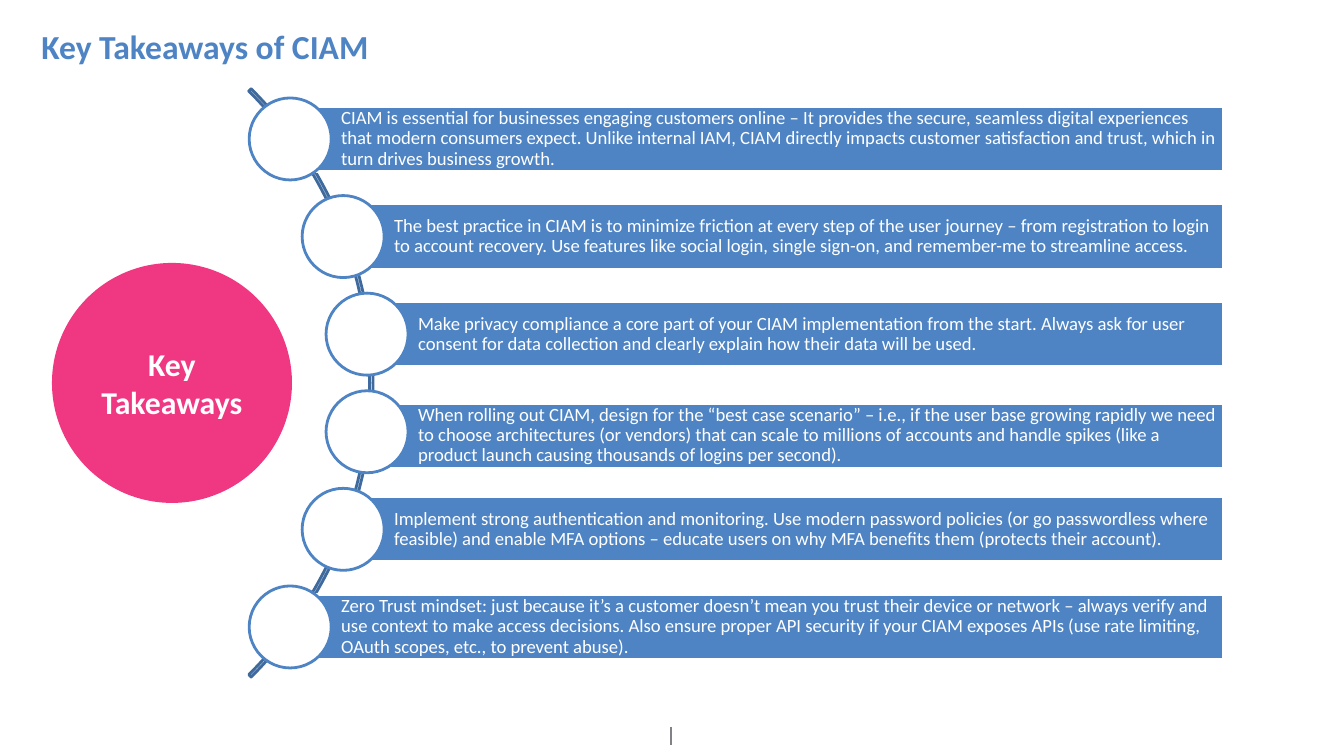
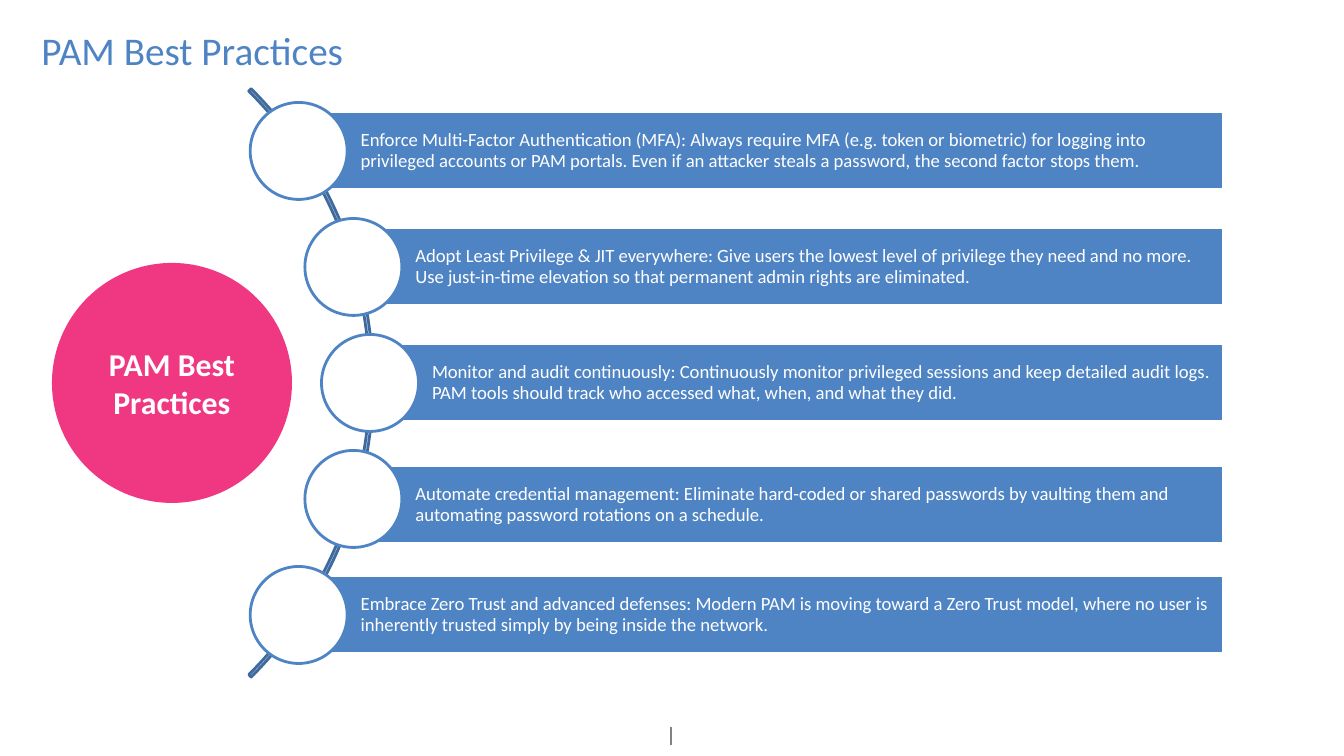
from math import sqrt
from pptx import Presentation
from pptx import util as u
from pptx.dml.color import RGBColor
from pptx.enum import shapes as sh, text as tx
from lxml import etree

BLUE, NAVY, PINK, GRAY, WHITE = "4E84C4", "3E6A9D", "F03782", "808285", "FFFFFF"
FONT = "Calibri"
NS = "http://schemas.openxmlformats.org/drawingml/2006/main"
FAN = (249, 88, 974, 590)
HUB = (52, 263, 240, 240)
TITLE = (28, 16, 1158, 81)


def px(n):
    return u.Emu(round(n * 914400 / 134.4))


def color(code):
    return RGBColor.from_string(code)


def style(par, size, code, bold=False):
    font = par.font
    font.name, font.size, font.bold = FONT, u.Pt(size), bold
    font.color.rgb = color(code)


def shape(parent, kind, box, fill=None, line=None):
    item = parent.add_shape(kind, *map(px, box))
    item.shadow.inherit = False
    if fill:
        item.fill.solid()
        item.fill.fore_color.rgb = color(fill)
    else:
        item.fill.background()
    if line:
        item.line.color.rgb = color(line)
        item.line.width = u.Pt(1.5)
    else:
        item.line.fill.background()
    return item


def head(slide, box, words, size, bold):
    title = slide.shapes.title
    title.left, title.top, title.width, title.height = map(px, box)
    frame = title.text_frame
    frame.text = words
    frame.auto_size = tx.MSO_AUTO_SIZE.NONE
    frame.vertical_anchor = tx.MSO_ANCHOR.TOP
    par = frame.paragraphs[0]
    par.alignment = tx.PP_ALIGN.LEFT
    par.line_spacing, par.space_after = 1.07, u.Pt(8)
    style(par, size, BLUE, bold)


def foot(slide):
    """Short upright rule at the bottom centre."""
    rule = slide.shapes.add_connector(
        sh.MSO_CONNECTOR.STRAIGHT, px(671), px(727), px(671), px(745))
    rule.line.color.rgb = color(GRAY)
    rule.line.width = u.Pt(1)
    etree.SubElement(rule._element.spPr, f"{{{NS}}}effectLst")


def hub(slide, box, words):
    disc = shape(slide.shapes, sh.MSO_SHAPE.OVAL, box, PINK)
    frame = disc.text_frame
    frame.word_wrap = True
    frame.vertical_anchor = tx.MSO_ANCHOR.MIDDLE
    frame.text = words
    par = frame.paragraphs[0]
    par.alignment = tx.PP_ALIGN.CENTER
    style(par, 17, WHITE, True)


def bar(group, box, words, indent):
    strip = shape(group, sh.MSO_SHAPE.RECTANGLE, box, BLUE, WHITE)
    frame = strip.text_frame
    frame.word_wrap = True
    frame.vertical_anchor = tx.MSO_ANCHOR.MIDDLE
    frame.margin_left = px(indent)
    frame.margin_right = frame.margin_top = frame.margin_bottom = px(4)
    frame.text = words
    par = frame.paragraphs[0]
    par.alignment = tx.PP_ALIGN.LEFT
    par.line_spacing = 0.9
    style(par, 10, WHITE)


def fan(slide, box, items, dot, thick, span, indent, drop):
    """Bars whose dots follow an arc; the fourth bar sits lower by drop."""
    left, top, width, height = box
    mid, right = top + height / 2, left + width
    hubx, rad, inner = left - 292, 416, 413
    group = slide.shapes.add_group_shape().shapes
    arc = shape(group, sh.MSO_SHAPE.BLOCK_ARC,
                (hubx - rad, mid - rad, 2 * rad, 2 * rad), line=NAVY)
    for i, value in enumerate((189, 27, 0.004)):
        arc.adjustments[i] = value
    step = span / (len(items) - 1)
    for i, words in enumerate(items):
        off = i * step - span / 2
        x, y = hubx + sqrt(inner ** 2 - off ** 2), mid + off
        low = drop if i == 3 else 0
        bar(group, (x, y - thick / 2 + low, right - x, thick), words, indent)
        shape(group, sh.MSO_SHAPE.OVAL,
              (x - dot / 2, y - dot / 2, dot, dot), WHITE, BLUE)


def page(deck, title, size, bold, label, items, **sizes):
    slide = deck.slides.add_slide(deck.slide_layouts[5])
    foot(slide)
    head(slide, TITLE, title, size, bold)
    fan(slide, FAN, items, **sizes)
    hub(slide, HUB, label)


TAKES = [
    "CIAM is essential for businesses engaging customers online – It provides the secure, seamless digital experiences that modern consumers expect. Unlike internal IAM, CIAM directly impacts customer satisfaction and trust, which in turn drives business growth.",
    "The best practice in CIAM is to minimize friction at every step of the user journey – from registration to login to account recovery. Use features like social login, single sign-on, and remember-me to streamline access.",
    "Make privacy compliance a core part of your CIAM implementation from the start. Always ask for user consent for data collection and clearly explain how their data will be used.",
    "When rolling out CIAM, design for the “best case scenario” – i.e., if the user base growing rapidly we need to choose architectures (or vendors) that can scale to millions of accounts and handle spikes (like a product launch causing thousands of logins per second).",
    "Implement strong authentication and monitoring. Use modern password policies (or go passwordless where feasible) and enable MFA options – educate users on why MFA benefits them (protects their account).",
    "Zero Trust mindset: just because it’s a customer doesn’t mean you trust their device or network – always verify and use context to make access decisions. Also ensure proper API security if your CIAM exposes APIs (use rate limiting, OAuth scopes, etc., to prevent abuse).",
]
RULES = [
    "Enforce Multi-Factor Authentication (MFA): Always require MFA (e.g. token or biometric) for logging into privileged accounts or PAM portals. Even if an attacker steals a password, the second factor stops them.",
    "Adopt Least Privilege & JIT everywhere: Give users the lowest level of privilege they need and no more. Use just-in-time elevation so that permanent admin rights are eliminated.",
    "Monitor and audit continuously: Continuously monitor privileged sessions and keep detailed audit logs. PAM tools should track who accessed what, when, and what they did.",
    "Automate credential management: Eliminate hard-coded or shared passwords by vaulting them and automating password rotations on a schedule.",
    "Embrace Zero Trust and advanced defenses: Modern PAM is moving toward a Zero Trust model, where no user is inherently trusted simply by being inside the network.",
]


def main():
    deck = Presentation()
    deck.slide_width, deck.slide_height = px(1344), px(756)
    page(deck, "Key Takeaways of CIAM", 18, True, "Key Takeaways", TAKES,
         dot=82, thick=65, span=488, indent=51, drop=4)
    page(deck, "PAM Best Practices", 21, False, "PAM Best Practices", RULES,
         dot=97, thick=78, span=464, indent=62, drop=6)
    deck.save("out.pptx")


if __name__ == "__main__":
    main()
